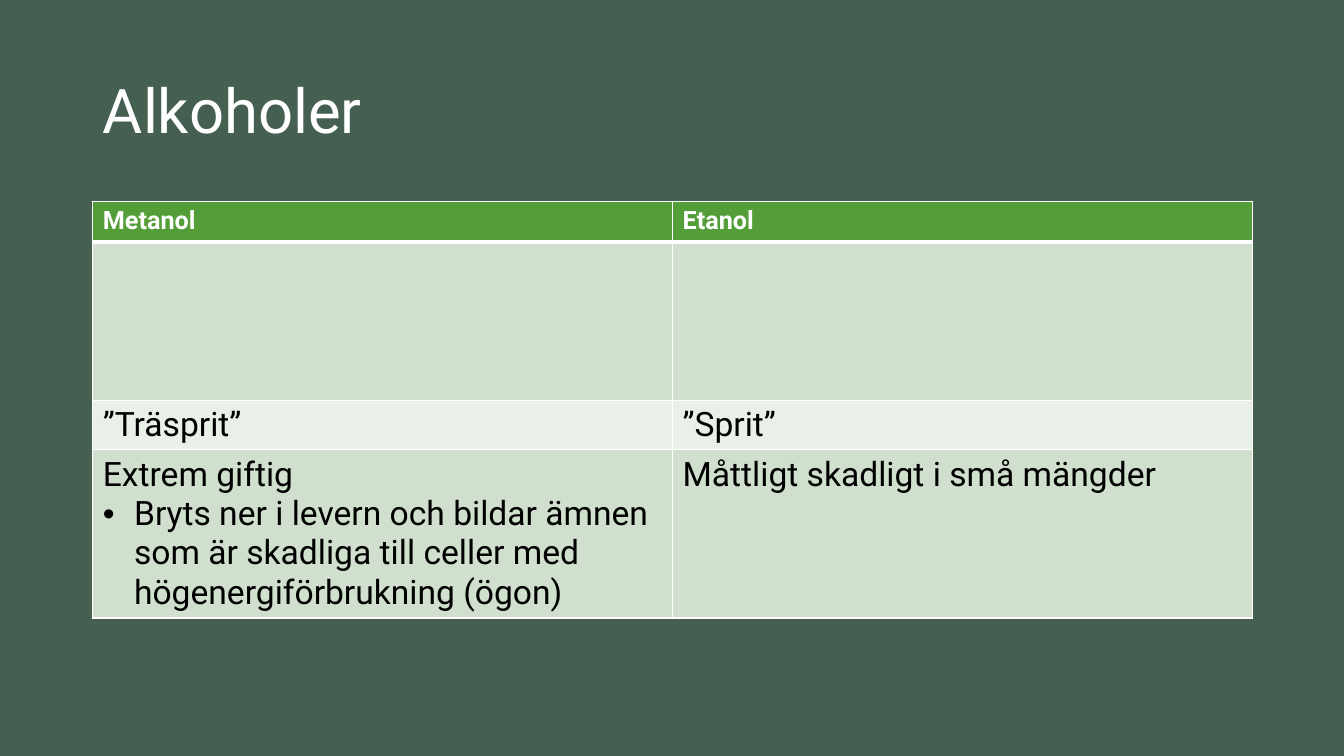
from dataclasses import dataclass
from lxml.etree import SubElement
from pptx import Presentation
from pptx.dml.color import RGBColor as Rgb
from pptx.enum.text import MSO_ANCHOR as Anchor, PP_ALIGN as Align
from pptx.oxml.ns import qn
from pptx.util import Inches, Pt


@dataclass
class Theme:
    font: str = "Roboto"
    back: str = "455F51"
    white: str = "FFFFFF"
    black: str = "000000"
    green: str = "549E39"
    mid: str = "D1DFCE"
    pale: str = "E9F0E8"
    title: int = 44
    head: int = 18
    body: int = 24


theme = Theme()


def style(para, size, color, bold=False):
    for run in para.runs:
        font = run.font
        font.name = theme.font
        font.size = Pt(size)
        font.bold = bold
        font.color.rgb = Rgb.from_string(color)


def edge(cell, side, width):
    line = SubElement(cell._tc.get_or_add_tcPr(), qn(f"a:ln{side}"), w=str(Pt(width)))
    fill = SubElement(line, qn("a:solidFill"))
    SubElement(fill, qn("a:srgbClr"), val=theme.white)


# Slide and background
deck = Presentation()
deck.slide_width = Inches(13.33)
deck.slide_height = Inches(7.5)
slide = deck.slides.add_slide(deck.slide_layouts[5])
slide.background.fill.solid()
slide.background.fill.fore_color.rgb = Rgb.from_string(theme.back)

# Title
title = slide.shapes.title
title.left, title.top = Inches(0.92), Inches(0.4)
title.width, title.height = Inches(11.5), Inches(1.45)
frame = title.text_frame
frame.text = "Alkoholer"
frame.vertical_anchor = Anchor.MIDDLE
para = frame.paragraphs[0]
para.alignment = Align.LEFT
para.line_spacing = 0.9
style(para, theme.title, theme.white)

# Table text, row heights and fills
rows = [
    (0.4, theme.green, ["Metanol", "Etanol"]),
    (1.57, theme.mid, ["", ""]),
    (0.49, theme.pale, ["”Träsprit”", "”Sprit”"]),
    (1.67, theme.mid, ["Extrem giftig", "Måttligt skadligt i små mängder"]),
]
high = sum(row[0] for row in rows)
table = slide.shapes.add_table(
    len(rows), 2, Inches(0.92), Inches(2), Inches(11.5), Inches(high)).table

for r, (height, fill, words) in enumerate(rows):
    table.rows[r].height = Inches(height)
    for c, text in enumerate(words):
        cell = table.cell(r, c)
        for side in "LRTB":
            thick = (r == 0 and side == "B") or (r == 1 and side == "T")
            edge(cell, side, 3 if thick else 1)
        cell.fill.solid()
        cell.fill.fore_color.rgb = Rgb.from_string(fill)
        para = cell.text_frame.paragraphs[0]
        para.text = text
        if r == 0:
            style(para, theme.head, theme.white, True)
        else:
            style(para, theme.body, theme.black)

# Bullet on the toxic effect
para = table.cell(3, 0).text_frame.add_paragraph()
para.text = ("Bryts ner i levern och bildar ämnen som är skadliga "
             "till celler med högenergiförbrukning (ögon)")
props = para._p.get_or_add_pPr()
props.set("marL", str(Inches(0.31)))
props.set("indent", str(-Inches(0.31)))
SubElement(props, qn("a:buFont"), typeface="Arial")
SubElement(props, qn("a:buChar"), char="•")
style(para, theme.body, theme.black)

deck.save("out.pptx")
